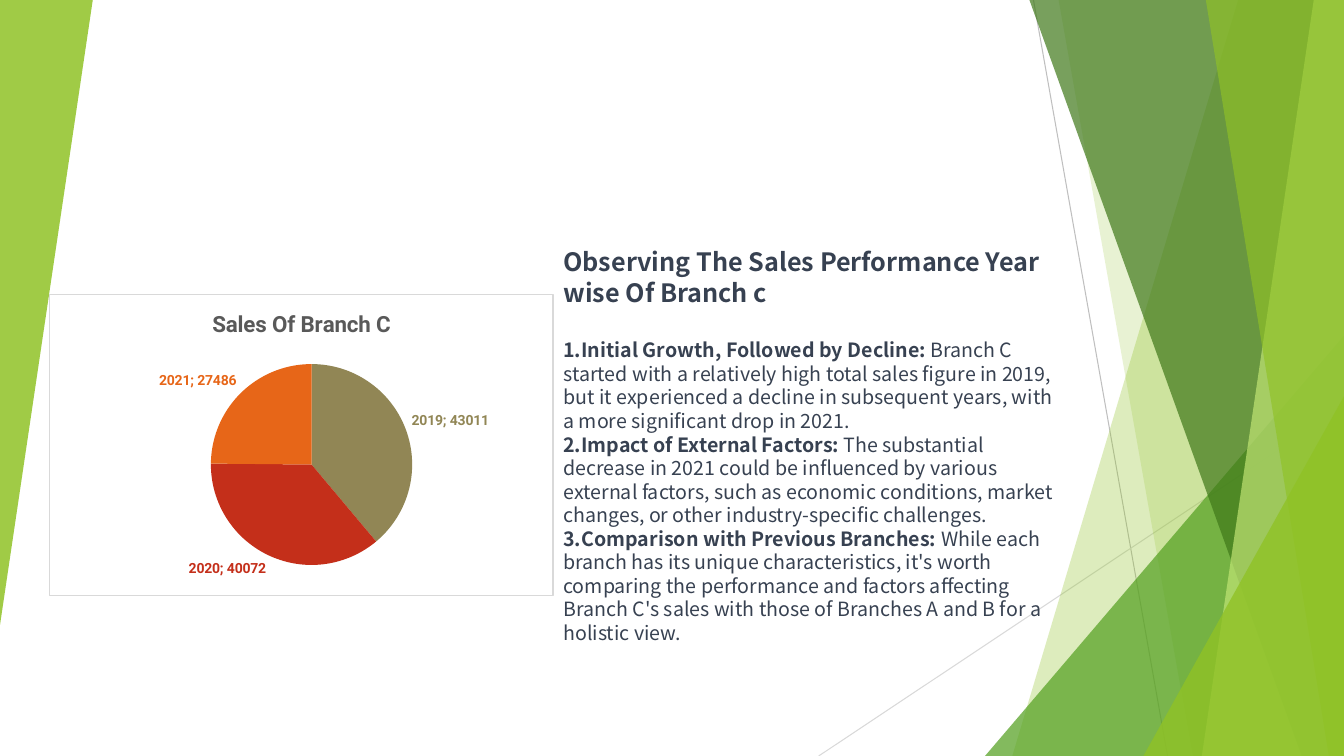
from lxml.etree import SubElement
from pptx import Presentation
from pptx.chart.data import CategoryChartData
from pptx.dml.color import RGBColor
from pptx.enum.chart import XL_CHART_TYPE, XL_LABEL_POSITION
from pptx.enum.shapes import MSO_CONNECTOR, MSO_SHAPE
from pptx.oxml import parse_xml
from pptx.oxml.ns import nsdecls, qn
from pptx.util import Pt

PX = 9144
WIDTH, HEIGHT = 1333, 750
LIME = RGBColor(0x90, 0xC2, 0x26)
PALE_LIME = RGBColor(0xC0, 0xE4, 0x74)
GREEN = RGBColor(0x54, 0xA0, 0x21)
DARK_GREEN = RGBColor(0x3F, 0x78, 0x19)
GRAY = RGBColor(0xBF, 0xBF, 0xBF)
LIGHT_GRAY = RGBColor(0xD9, 0xD9, 0xD9)
TITLE_GRAY = RGBColor(0x59, 0x59, 0x59)
WHITE = RGBColor(0xFF, 0xFF, 0xFF)
SLATE = RGBColor(0x37, 0x41, 0x51)
OLIVE = RGBColor(0x91, 0x86, 0x55)
RED = RGBColor(0xC4, 0x2F, 0x1A)
ORANGE = RGBColor(0xE7, 0x66, 0x18)
TEXT_FONT = "Noto Sans CJK JP"
CHART_FONT = "Roboto"

SALES = [("2019", 43011, OLIVE), ("2020", 40072, RED), ("2021", 27486, ORANGE)]
HEADING = "Observing The Sales Performance Year wise Of Branch c"
FINDINGS = [
    ("Initial Growth, Followed by Decline:",
     " Branch C started with a relatively high total sales figure in 2019, but it experienced "
     "a decline in subsequent years, with a more significant drop in 2021."),
    ("Impact of External Factors:",
     " The substantial decrease in 2021 could be influenced by various external factors, such "
     "as economic conditions, market changes, or other industry-specific challenges."),
    ("Comparison with Previous Branches:",
     " While each branch has its unique characteristics, it's worth comparing the performance "
     "and factors affecting Branch C's sales with those of Branches A and B for a holistic view."),
]


def emu(*lengths):
    """Turn px lengths into EMU."""
    return [length * PX for length in lengths]


def paint(shape, color, opacity):
    """Give a shape a translucent fill, no outline and no shadow."""
    shape.shadow.inherit = False
    shape.line.fill.background()
    shape.fill.solid()
    shape.fill.fore_color.rgb = color
    color_element = shape.fill._xPr.find(qn("a:solidFill"))[0]
    SubElement(color_element, qn("a:alpha"), val=str(opacity * 1000))


def add_thin_line(slide, start, end, color):
    """Draw one hairline."""
    line = slide.shapes.add_connector(MSO_CONNECTOR.STRAIGHT, *emu(*start, *end))
    line.line.color.rgb = color
    line.line.width = Pt(0.75)
    SubElement(line._element.spPr, qn("a:effectLst"))


def add_ribbon(slide, top_left, bottom_left, color, opacity):
    """Draw a full-height band from a slanted left edge to the right slide edge."""
    builder = slide.shapes.build_freeform(top_left, 0, scale=PX)
    builder.add_line_segments([(WIDTH, 0), (WIDTH, HEIGHT), (bottom_left, HEIGHT)])
    paint(builder.convert_to_shape(), color, opacity)


def add_corner(slide, box, color, opacity, rotation=0):
    """Draw a right-angled triangle in the box."""
    corner = slide.shapes.add_shape(MSO_SHAPE.ISOSCELES_TRIANGLE, *emu(*box))
    corner.adjustments[0] = 1
    corner.rotation = rotation
    paint(corner, color, opacity)


def add_backdrop(slide):
    """Draw the layered green facets at both slide edges."""
    add_thin_line(slide, (1025, 0), (1158, HEIGHT), GRAY)
    add_thin_line(slide, (WIDTH, 403), (812, HEIGHT), LIGHT_GRAY)
    add_ribbon(slide, 1228, 1004, LIME, 30)
    add_ribbon(slide, 1050, 1183, LIME, 20)
    add_corner(slide, (977, 333, 356, 417), GREEN, 72)
    add_ribbon(slide, 1021, 1291, DARK_GREEN, 70)
    add_ribbon(slide, 1303, 1192, PALE_LIME, 70)
    add_ribbon(slide, 1196, 1318, LIME, 65)
    add_corner(slide, (1134, 393, 199, 357), LIME, 80)
    add_corner(slide, (0, 0, 92, 620), LIME, 85, rotation=180)


def set_font(font, size, color, bold=True):
    """Set size, colour and weight of a chart font."""
    font.name = CHART_FONT
    font.size = Pt(size)
    font.bold = bold
    font.color.rgb = color


def frame_chart(chart):
    """Give the chart a white ground with a thin border and place its plot."""
    frame = parse_xml(
        f'<c:spPr {nsdecls("c", "a")}><a:solidFill><a:srgbClr val="{WHITE}"/></a:solidFill>'
        f'<a:ln w="9525"><a:solidFill><a:srgbClr val="{LIGHT_GRAY}"/></a:solidFill></a:ln></c:spPr>')
    chart._chartSpace.chart.addnext(frame)
    plot_area = chart._chartSpace.chart.plotArea
    for layout in plot_area.findall(qn("c:layout")):
        plot_area.remove(layout)
    plot_area.insert(0, parse_xml(
        f'<c:layout {nsdecls("c")}><c:manualLayout><c:layoutTarget val="inner"/>'
        '<c:xMode val="edge"/><c:yMode val="edge"/><c:x val="0.32"/><c:y val="0.23"/>'
        '<c:w val="0.4"/><c:h val="0.67"/></c:manualLayout></c:layout>'))


def add_sales_chart(slide, box):
    """Place the pie of yearly sales."""
    data = CategoryChartData(number_format="0")
    data.categories = [year for year, _, _ in SALES]
    data.add_series("Series 1", [amount for _, amount, _ in SALES])
    chart = slide.shapes.add_chart(XL_CHART_TYPE.PIE, *emu(*box), data).chart
    set_font(chart.font, 10, TITLE_GRAY, bold=False)
    chart.has_legend = False
    chart.has_title = True
    title = chart.chart_title.text_frame.paragraphs[0]
    title.add_run().text = "Sales Of Branch C"
    set_font(title.runs[0].font, 16, TITLE_GRAY)
    frame_chart(chart)

    plot = chart.plots[0]
    plot.vary_by_categories = True
    series = plot.series[0]
    for index, (_, _, color) in enumerate(SALES):
        point = series.points[index]
        point.format.fill.solid()
        point.format.fill.fore_color.rgb = color
        set_font(point.data_label.font, 10, color)
        point.data_label.position = XL_LABEL_POSITION.OUTSIDE_END
    labels = series.data_labels
    labels.show_value = labels.show_category_name = True
    labels.show_percentage = False
    labels.position = XL_LABEL_POSITION.OUTSIDE_END
    for label in labels._element.findall(qn("c:dLbl")):
        label.find(qn("c:showCatName")).set("val", "1")
        label.find(qn("c:showVal")).set("val", "1")
        label.find(qn("c:showPercent")).set("val", "0")
        SubElement(label, qn("c:separator")).text = "; "


def style_paragraph(paragraph, size, line_height):
    """Set the text font and exact line height of a paragraph."""
    paragraph.line_spacing = Pt(line_height)
    paragraph.font.name = TEXT_FONT
    paragraph.font.size = Pt(size)
    paragraph.font.color.rgb = SLATE


def add_findings(slide, box):
    """Place the heading with the numbered findings below it."""
    frame = slide.shapes.add_textbox(*emu(*box)).text_frame
    frame.word_wrap = True
    heading = frame.paragraphs[0]
    heading.add_run().text = HEADING
    style_paragraph(heading, 18, 22)
    heading.font.bold = True
    for index, (label, detail) in enumerate(FINDINGS):
        paragraph = frame.add_paragraph()
        paragraph.space_before = Pt(0 if index else 22)
        properties = paragraph._p.get_or_add_pPr()
        SubElement(properties, qn("a:buFont"), typeface="+mj-lt")
        SubElement(properties, qn("a:buAutoNum"), type="arabicPeriod")
        style_paragraph(paragraph, 14, 16.8)
        for text, bold in ((label, True), (detail, False)):
            run = paragraph.add_run()
            run.text = text
            run.font.bold = bold


def main():
    """Build the slide and save it."""
    presentation = Presentation()
    presentation.slide_width, presentation.slide_height = emu(WIDTH, HEIGHT)
    slide = presentation.slides.add_slide(presentation.slide_layouts[6])
    add_backdrop(slide)
    add_sales_chart(slide, (49, 292, 500, 299))
    add_findings(slide, (549, 239, 516, 468))
    presentation.save("out.pptx")


if __name__ == "__main__":
    main()
